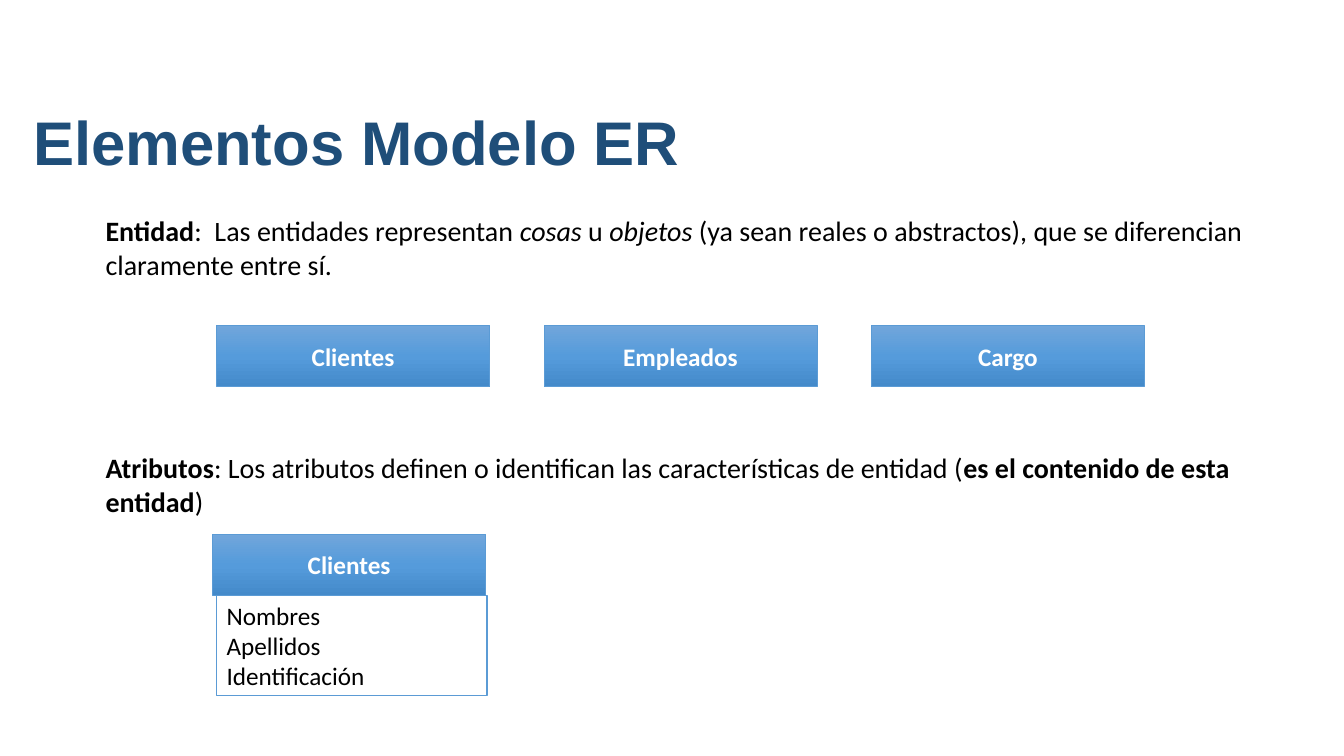
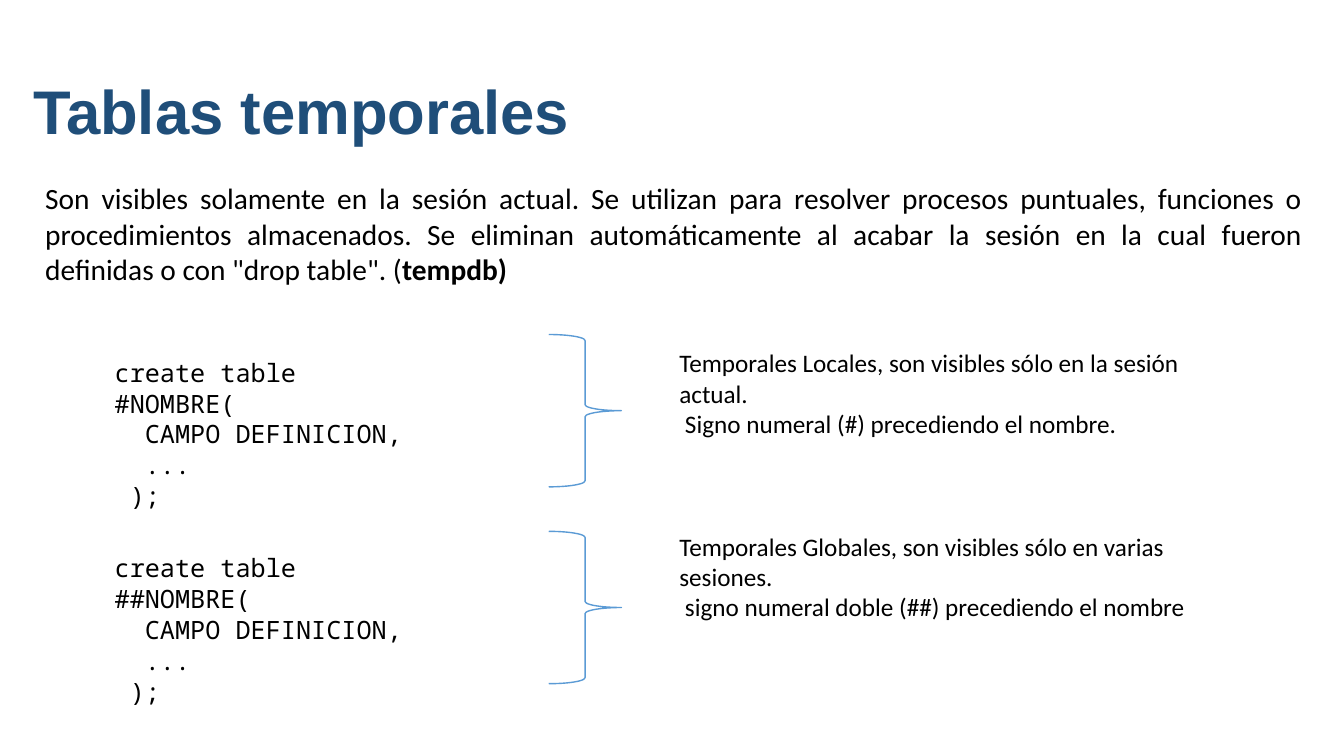
from copy import deepcopy

from pptx import Presentation
from pptx.dml.color import RGBColor
from pptx.enum.shapes import MSO_SHAPE
from pptx.enum.text import MSO_ANCHOR, PP_ALIGN
from pptx.util import Cm, Pt

NAVY = RGBColor(0x1F, 0x4E, 0x79)
BLUE = RGBColor(0x5B, 0x9B, 0xD5)
BLACK = RGBColor(0, 0, 0)
WHITE = RGBColor(0xFF, 0xFF, 0xFF)
ENTITY_STOPS = [
    (0, RGBColor(0x71, 0xA6, 0xDB)),
    (0.5, RGBColor(0x55, 0x9B, 0xDB)),
    (1, RGBColor(0x44, 0x8A, 0xCA)),
]

TITLE = {"name": "Arial", "size": Pt(44), "bold": True, "color": NAVY}
BODY = {"name": "Calibri", "size": Pt(20), "color": BLACK}
INTRO = {**BODY, "size": Pt(21)}
SMALL = {**BODY, "size": Pt(18)}
CODE = {**SMALL, "name": "Noto Sans Mono"}
ENTITY = {**SMALL, "bold": True, "color": WHITE}
BOLD = {"bold": True}
ITALIC = {"italic": True}

ENTITY_WIDTH, ENTITY_HEIGHT = 6.88, 1.55


def place(left, top, width, height):
    return Cm(left), Cm(top), Cm(width), Cm(height)


def format_font(font, style):
    for name, value in style.items():
        if name == "color":
            font.color.rgb = value
        else:
            setattr(font, name, value)


def write(frame, paragraphs, style, **layout):
    """Fill a frame; each paragraph is a string or a list of (text, extra style)."""
    frame.word_wrap = True
    for index, content in enumerate(paragraphs):
        para = frame.add_paragraph() if index else frame.paragraphs[0]
        for name, value in layout.items():
            setattr(para, name, value)
        parts = [(content, {})] if isinstance(content, str) else content
        for text, extra in parts:
            span = para.add_run()
            span.text = text
            format_font(span.font, {**style, **extra})


def add_page(deck, title, top):
    page = deck.slides.add_slide(deck.slide_layouts[5])
    holder = page.shapes.title
    holder.left, holder.top, holder.width, holder.height = place(0.58, top, 31.65, 3.18)
    holder.text_frame.vertical_anchor = MSO_ANCHOR.MIDDLE
    write(holder.text_frame, [title], TITLE, alignment=PP_ALIGN.LEFT, line_spacing=0.9)
    return page


def add_text(page, area, paragraphs, style, **layout):
    box = page.shapes.add_textbox(*place(*area))
    write(box.text_frame, paragraphs, style, **layout)


def add_outlined(page, kind, area, line_width):
    shape = page.shapes.add_shape(kind, *place(*area))
    shape.shadow.inherit = False
    shape.line.color.rgb = BLUE
    shape.line.width = Pt(line_width)
    return shape


def fill_gradient(fill, stops):
    """Fill from top to bottom with three colour stops."""
    fill.gradient()
    fill.gradient_angle = 270
    first = fill.gradient_stops[0]._gs
    first.addnext(deepcopy(first))
    for stop, (position, color) in zip(fill.gradient_stops, stops):
        stop.position = position
        stop.color.rgb = color


def add_entity(page, left, top, name):
    area = (left, top, ENTITY_WIDTH, ENTITY_HEIGHT)
    box = add_outlined(page, MSO_SHAPE.RECTANGLE, area, 0.5)
    fill_gradient(box.fill, ENTITY_STOPS)
    box.text_frame.vertical_anchor = MSO_ANCHOR.MIDDLE
    write(box.text_frame, [name], ENTITY, alignment=PP_ALIGN.CENTER)


def add_attributes(page, area, names):
    box = add_outlined(page, MSO_SHAPE.RECTANGLE, area, 1)
    box.fill.solid()
    box.fill.fore_color.rgb = WHITE
    box.text_frame.vertical_anchor = MSO_ANCHOR.MIDDLE
    write(box.text_frame, names, SMALL, alignment=PP_ALIGN.LEFT)


def add_brace(page, area):
    add_outlined(page, MSO_SHAPE.RIGHT_BRACE, area, 1).fill.background()


def build_elements(deck):
    page = add_page(deck, "Elementos Modelo ER", 2.08)
    entity_text = [
        ("Entidad", BOLD),
        (":  Las entidades representan ", {}),
        ("cosas", ITALIC),
        (" u ", {}),
        ("objetos", ITALIC),
        (" (ya sean reales o abstractos), que se diferencian claramente entre sí.", {}),
    ]
    attribute_text = [
        ("Atributos", BOLD),
        (": Los atributos definen o identifican las características de entidad (", {}),
        ("es el contenido de esta entidad", BOLD),
        (")", {}),
    ]
    for top, text in ((5.26, entity_text), (11.23, attribute_text)):
        add_text(page, (2.41, top, 29.39, 1.98), [text], BODY)

    for column, name in enumerate(("Clientes", "Empleados", "Cargo")):
        add_entity(page, 5.46 + column * 8.25, 8.2, name)
    add_entity(page, 5.36, 13.46, "Clientes")
    add_attributes(page, (5.46, 15.01, 6.81, 2.51),
                   ["Nombres", "Apellidos", "Identificación"])


def build_temporary_tables(deck):
    page = add_page(deck, "Tablas temporales", 1.3)
    intro = [
        ("Son visibles solamente en la sesión actual. Se utilizan para resolver "
         "procesos puntuales, funciones o procedimientos almacenados. Se eliminan "
         "automáticamente al acabar la sesión en la cual fueron definidas o con "
         '"drop table". (', {}),
        ("tempdb)", BOLD),
    ]
    add_text(page, (0.89, 4.42, 32.18, 2.95), [intro], INTRO, alignment=PP_ALIGN.JUSTIFY)

    kinds = [
        ("#NOMBRE", 8.43, 8.86, 8.64,
         ["Temporales Locales, son visibles sólo en la sesión actual.",
          " Signo numeral (#) precediendo el nombre."]),
        ("##NOMBRE", 13.39, 13.79, 13.26,
         ["Temporales Globales, son visibles sólo en varias sesiones.",
          " signo numeral doble (##) precediendo el nombre"]),
    ]
    for table, brace_top, code_top, note_top, note in kinds:
        code = [f"create table {table}(", "  CAMPO DEFINICION,", "  ...", " );"]
        add_brace(page, (13.83, brace_top, 1.83, 3.84))
        add_text(page, (2.64, code_top, 8, 4.13), code, CODE, line_spacing=Pt(22))
        add_text(page, (16.87, note_top, 13.33, 2.57), note, SMALL)


def main():
    deck = Presentation()
    deck.slide_width, deck.slide_height = Cm(33.87), Cm(19.05)
    build_elements(deck)
    build_temporary_tables(deck)
    deck.save("out.pptx")


if __name__ == "__main__":
    main()
